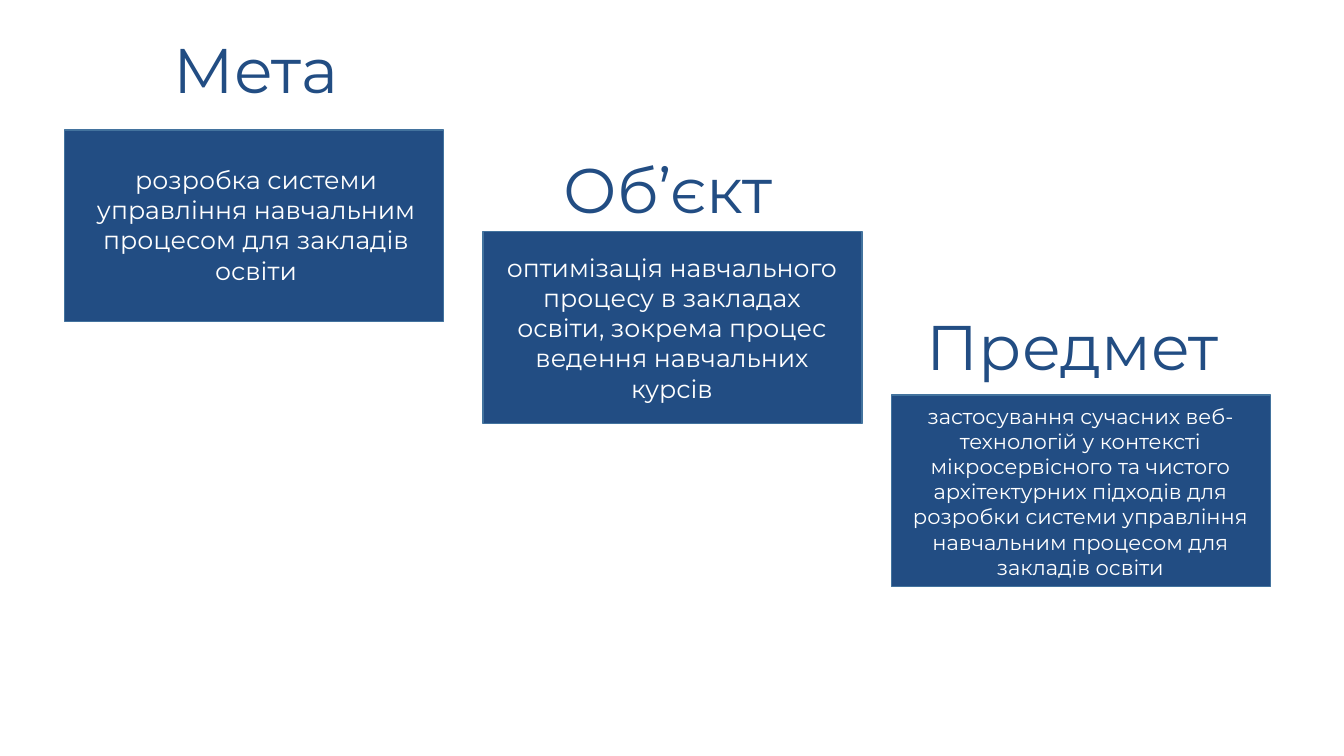
from dataclasses import dataclass

from pptx import Presentation
from pptx.dml.color import RGBColor
from pptx.enum.shapes import MSO_SHAPE
from pptx.enum.text import MSO_AUTO_SIZE, PP_ALIGN
from pptx.slide import Slide
from pptx.util import Emu, Pt

EMU_PER_PX = 9144


@dataclass(frozen=True)
class Theme:
    font: str = "Montserrat"
    navy: RGBColor = RGBColor(0x22, 0x4D, 0x83)
    outline: RGBColor = RGBColor(0x43, 0x73, 0x9E)
    white: RGBColor = RGBColor(0xFF, 0xFF, 0xFF)
    heading_size: int = 45
    body_size: int = 18
    dense_size: int = 15


@dataclass(frozen=True)
class Box:
    left: int
    top: int
    width: int
    height: int

    def emu(self) -> tuple[Emu, Emu, Emu, Emu]:
        return (px(self.left), px(self.top), px(self.width), px(self.height))


@dataclass(frozen=True)
class Card:
    heading: str
    heading_box: Box
    panel_left: int
    panel_top: int
    body: str
    body_box: Box
    body_size: int
    heading_spacing: float = 1.0


THEME = Theme()
PANEL_WIDTH = 376
PANEL_HEIGHT = 190

CARDS = [
    Card(
        "Мета", Box(66, 34, 376, 86), 64, 129,
        "розробка системи управління навчальним процесом для закладів освіти",
        Box(84, 158, 340, 131), THEME.body_size, heading_spacing=0.9,
    ),
    Card(
        "Об’єкт", Box(513, 144, 299, 86), 479, 230,
        "оптимізація навчального процесу в закладах освіти, "
        "зокрема процес ведення навчальних курсів",
        Box(485, 245, 363, 162), THEME.body_size,
    ),
    Card(
        "Предмет", Box(891, 300, 346, 86), 884, 392,
        "застосування сучасних веб-технологій у контексті мікросервісного "
        "та чистого архітектурних підходів для розробки системи управління "
        "навчальним процесом для закладів освіти",
        Box(869, 395, 405, 187), THEME.dense_size,
    ),
]


def px(length: int) -> Emu:
    return Emu(length * EMU_PER_PX)


def add_panel(slide: Slide, box: Box) -> None:
    panel = slide.shapes.add_shape(MSO_SHAPE.RECTANGLE, *box.emu())
    panel.shadow.inherit = False
    panel.fill.solid()
    panel.fill.fore_color.rgb = THEME.navy
    panel.line.color.rgb = THEME.outline
    panel.line.width = Pt(1)


def add_text(slide: Slide, box: Box, text: str, size: int,
             color: RGBColor, spacing: float = 1.0) -> None:
    frame = slide.shapes.add_textbox(*box.emu()).text_frame
    frame.word_wrap = True
    frame.auto_size = MSO_AUTO_SIZE.SHAPE_TO_FIT_TEXT
    paragraph = frame.paragraphs[0]
    paragraph.text = text
    paragraph.alignment = PP_ALIGN.CENTER
    paragraph.line_spacing = spacing
    paragraph.font.name = THEME.font
    paragraph.font.size = Pt(size)
    paragraph.font.color.rgb = color


def add_card(slide: Slide, card: Card) -> None:
    add_panel(slide, Box(card.panel_left, card.panel_top, PANEL_WIDTH, PANEL_HEIGHT))
    add_text(slide, card.heading_box, card.heading, THEME.heading_size,
             THEME.navy, card.heading_spacing)
    add_text(slide, card.body_box, card.body, card.body_size, THEME.white)


def main() -> None:
    presentation = Presentation()
    presentation.slide_width = px(1333)
    presentation.slide_height = px(750)
    slide = presentation.slides.add_slide(presentation.slide_layouts[6])
    for card in CARDS:
        add_card(slide, card)
    presentation.save("out.pptx")


if __name__ == "__main__":
    main()
